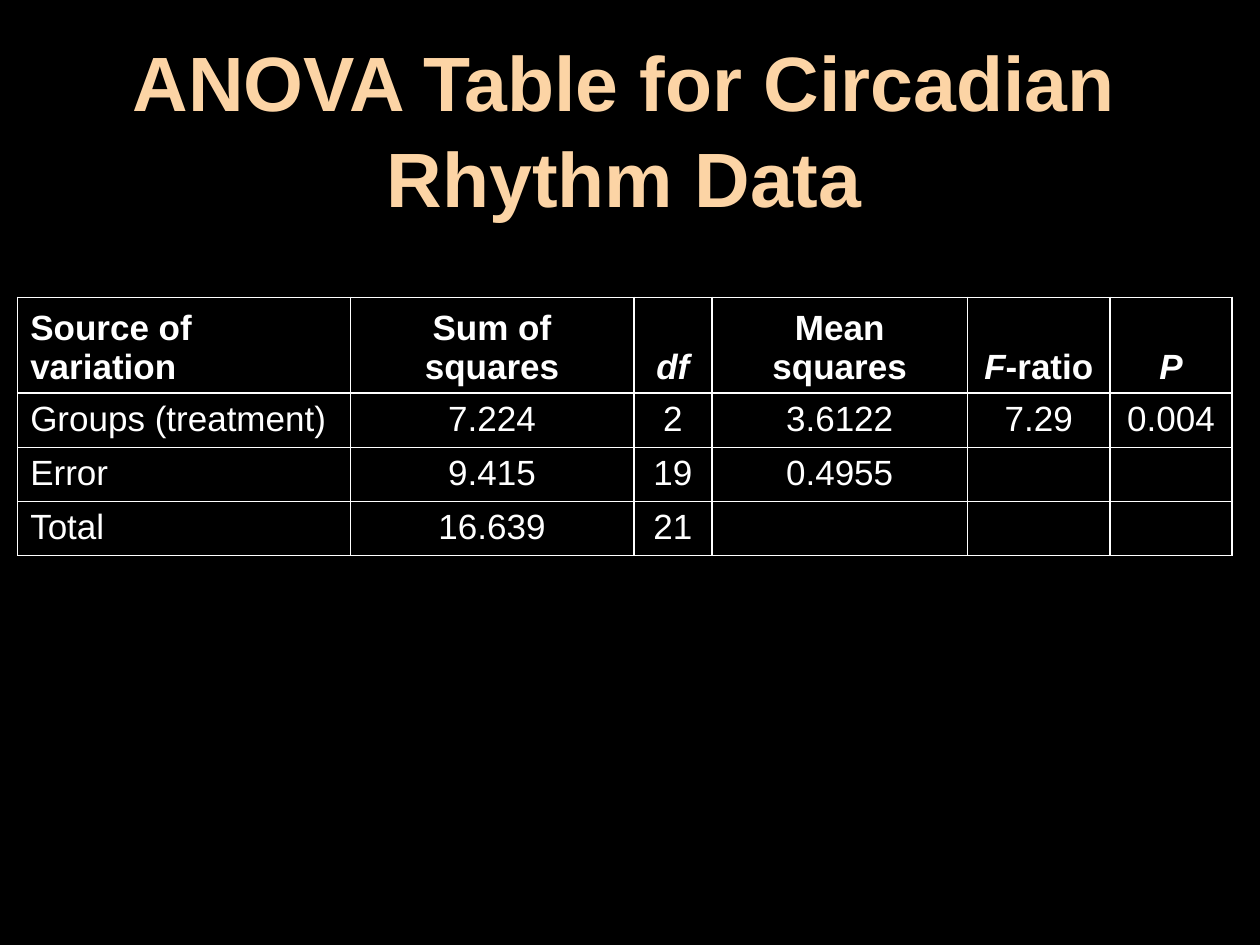
from lxml import etree
from pptx import Presentation
from pptx.dml.color import RGBColor
from pptx.enum.text import MSO_ANCHOR, PP_ALIGN
from pptx.oxml.ns import qn
from pptx.util import Inches, Pt

BLACK = RGBColor(0x00, 0x00, 0x00)
WHITE = RGBColor(0xFF, 0xFF, 0xFF)
PEACH = RGBColor(0xFC, 0xD4, 0xA5)
FONT = "Arial"
CENTER, LEFT = PP_ALIGN.CENTER, PP_ALIGN.LEFT
TOP, MIDDLE, BOTTOM = MSO_ANCHOR.TOP, MSO_ANCHOR.MIDDLE, MSO_ANCHOR.BOTTOM

COLUMN_WIDTHS = [2.64, 2.25, 0.62, 2.03, 1.13, 0.97]
ROW_HEIGHTS = [0.76, 0.43, 0.43, 0.43]
# Each header is a list of (text, italic) runs
HEADERS = [
    [("Source of variation", False)],
    [("Sum of squares", False)],
    [("df", True)],
    [("Mean squares", False)],
    [("F", True), ("-ratio", False)],
    [("P", True)],
]
DATA = [
    ["Groups (treatment)", "7.224", "2", "3.6122", "7.29", "0.004"],
    ["Error", "9.415", "19", "0.4955", "", ""],
    ["Total", "16.639", "21", "", "", ""],
]


def add_run(paragraph, text, size, color, bold=False, italic=False):
    run = paragraph.add_run()
    run.text = text
    run.font.name = FONT
    run.font.size = Pt(size)
    run.font.color.rgb = color
    run.font.bold = bold
    run.font.italic = italic


def set_borders(cell, color, width):
    properties = cell._tc.get_or_add_tcPr()
    for index, side in enumerate(("a:lnL", "a:lnR", "a:lnT", "a:lnB")):
        line = etree.Element(qn(side), w=str(Pt(width)))
        fill = etree.SubElement(line, qn("a:solidFill"))
        etree.SubElement(fill, qn("a:srgbClr"), val=str(color))
        properties.insert(index, line)


presentation = Presentation()
presentation.slide_width = Inches(10)
presentation.slide_height = Inches(7.5)
slide = presentation.slides.add_slide(presentation.slide_layouts[5])
slide.background.fill.solid()
slide.background.fill.fore_color.rgb = BLACK

# Title
title = slide.shapes.title
title.left, title.top = Inches(0.35), Inches(0.22)
title.width, title.height = Inches(9.21), Inches(1.58)
title.text_frame.word_wrap = True
title.text_frame.vertical_anchor = MIDDLE
paragraph = title.text_frame.paragraphs[0]
paragraph.alignment = CENTER
paragraph.line_spacing = 1.04
add_run(paragraph, "ANOVA Table for Circadian Rhythm Data", 44, PEACH, bold=True)

# Table grid
table = slide.shapes.add_table(
    len(ROW_HEIGHTS), len(COLUMN_WIDTHS), Inches(0.14), Inches(2.36),
    Inches(sum(COLUMN_WIDTHS)), Inches(sum(ROW_HEIGHTS))).table
table.horz_banding = False
for column, width in zip(table.columns, COLUMN_WIDTHS):
    column.width = Inches(width)
for row, height in zip(table.rows, ROW_HEIGHTS):
    row.height = Inches(height)

# Table cells
rows = [HEADERS] + [[[(text, False)] for text in values] for values in DATA]
for row_index, row_runs in enumerate(rows):
    is_header = row_index == 0
    for column_index, runs in enumerate(row_runs):
        cell = table.cell(row_index, column_index)
        cell.fill.background()
        set_borders(cell, WHITE, 1)
        cell.vertical_anchor = BOTTOM if is_header else TOP
        paragraph = cell.text_frame.paragraphs[0]
        paragraph.alignment = LEFT if column_index == 0 else CENTER
        for text, italic in runs:
            if text:
                add_run(paragraph, text, 20, WHITE, bold=is_header, italic=italic)

presentation.save("out.pptx")
